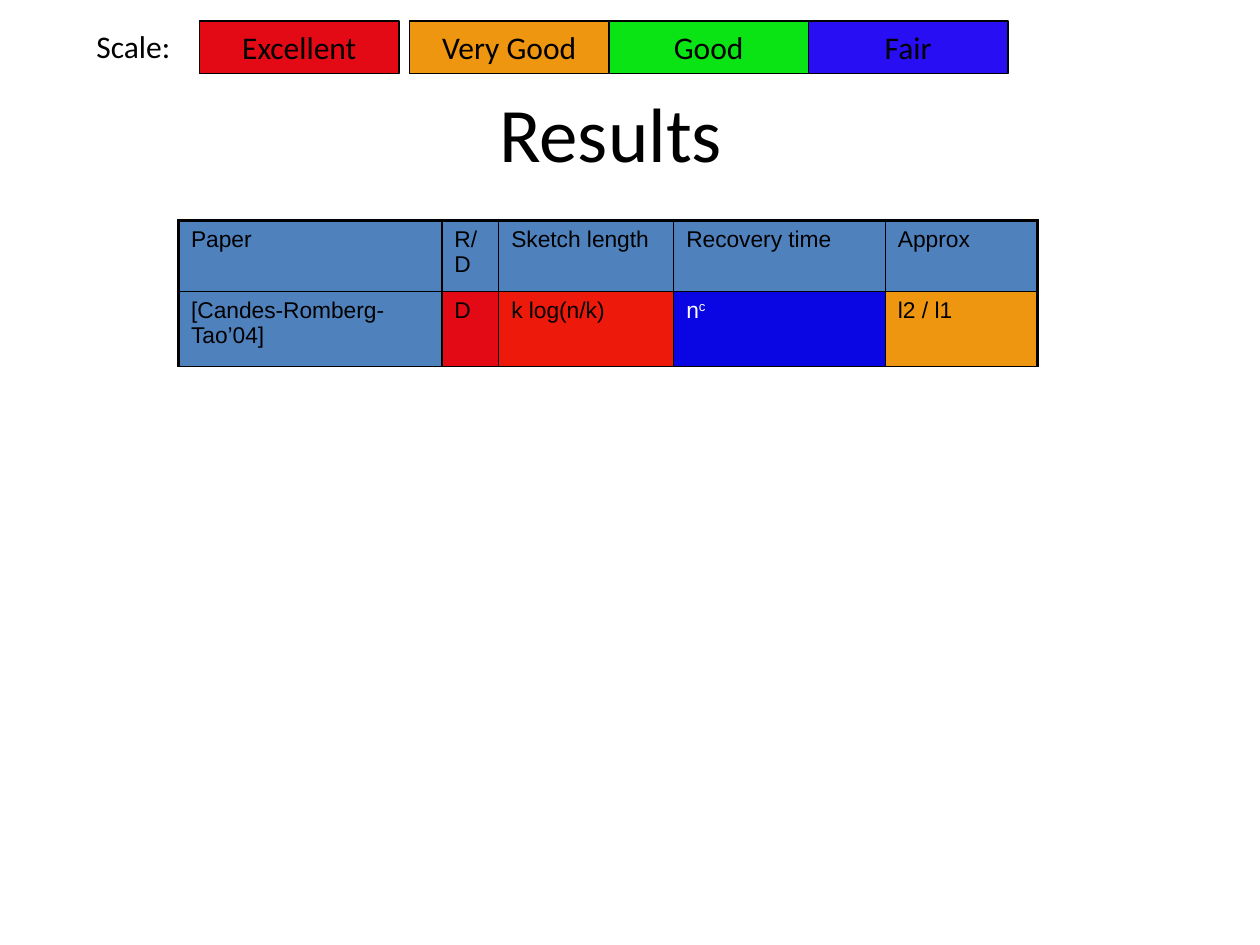
from lxml.etree import SubElement as Sub
from pptx import Presentation as Deck
from pptx.dml.color import RGBColor as Rgb
from pptx.enum.shapes import MSO_SHAPE as Kind
from pptx.enum.text import MSO_ANCHOR as Anchor, MSO_AUTO_SIZE as Auto, PP_ALIGN as Align
from pptx.oxml.ns import qn
from pptx.util import Pt

HUES = {
    "black": "000000", "white": "FFFFFF", "steel": "4F81BD",
    "red": "E30A15", "bright": "ED190B", "orange": "EF9611",
    "green": "0AE314", "blue": "280EF3", "deep": "0A06E3",
}
GRADES = [("Excellent", "red"), ("Very Good", "orange"), ("Good", "green"), ("Fair", "blue")]
COLS = [150.5, 32.5, 100, 121, 87]
HEADS = [(name, "", "steel", "black")
         for name in ("Paper", "R/D", "Sketch length", "Recovery time", "Approx")]
PAPER = [
    ("[Candes-Romberg-Tao’04]", "", "steel", "black"),
    ("D", "", "red", "black"),
    ("k log(n/k)", "", "bright", "black"),
    ("n", "c", "deep", "white"),
    ("l2 / l1", "", "orange", "black"),
]


def hue(name):
    return Rgb.from_string(HUES[name])


def add_run(para, text, size, face="Calibri", tint="black"):
    run = para.add_run()
    run.text = text
    run.font.size = Pt(size)
    run.font.name = face
    run.font.color.rgb = hue(tint)
    return run


def add_title(slide, left, top, wide, high):
    title = slide.shapes.title
    title.left, title.top, title.width, title.height = map(Pt, (left, top, wide, high))
    frame = title.text_frame
    frame.vertical_anchor = Anchor.MIDDLE
    para = frame.paragraphs[0]
    para.alignment = Align.CENTER
    add_run(para, "Results ", 44)


def add_scale(slide, left, top, wide, high):
    label = slide.shapes.add_textbox(Pt(left), Pt(top), Pt(88), Pt(36))
    label.text_frame.word_wrap = False
    label.text_frame.auto_size = Auto.SHAPE_TO_FIT_TEXT
    add_run(label.text_frame.paragraphs[0], "Scale:", 18)

    step, lap = 114, 6
    start = left + wide - len(GRADES) * step
    for i, (name, fill) in enumerate(GRADES):
        shift = 0 if i else lap
        box = slide.shapes.add_shape(Kind.RECTANGLE, Pt(start + i * step - shift),
                                     Pt(top), Pt(step), Pt(high))
        box.shadow.inherit = False
        box.fill.solid()
        box.fill.fore_color.rgb = hue(fill)
        box.line.color.rgb = hue("black")
        box.line.width = Pt(0.75)
        frame = box.text_frame
        frame.word_wrap = False
        frame.vertical_anchor = Anchor.MIDDLE
        para = frame.paragraphs[0]
        para.alignment = Align.CENTER
        add_run(para, name, 18)


def add_edges(cell, thick):
    props = cell._tc.get_or_add_tcPr()
    for side in "LRTB":
        width = 2.25 if side in thick else 1
        line = Sub(props, qn(f"a:ln{side}"), w=str(Pt(width)))
        Sub(Sub(line, qn("a:solidFill")), qn("a:srgbClr"), val=HUES["black"])


def add_row(slide, left, top, high, cells, thick=""):
    frame = slide.shapes.add_table(1, len(COLS), Pt(left), Pt(top), Pt(sum(COLS)), Pt(high))
    table = frame.table
    table.first_row = table.horz_banding = False
    table.rows[0].height = Pt(high)
    for i, (text, power, fill, tint) in enumerate(cells):
        table.columns[i].width = Pt(COLS[i])
        cell = table.cell(0, i)
        ends = {0: "L", len(COLS) - 1: "R"}
        add_edges(cell, thick + ends.get(i, ""))
        cell.fill.solid()
        cell.fill.fore_color.rgb = hue(fill)
        para = cell.text_frame.paragraphs[0]
        add_run(para, text, 13, "Arial", tint)
        if power:
            run = add_run(para, power, 13, "Arial", tint)
            run._r.get_or_add_rPr().set("baseline", "30000")


def add_results(slide, left, top, head, body):
    add_row(slide, left, top + head, body, PAPER)
    add_row(slide, left, top, head, HEADS, "T")


def main():
    deck = Deck()
    deck.slide_width, deck.slide_height = Pt(720), Pt(540)
    slide = deck.slides.add_slide(deck.slide_layouts[5])
    add_title(slide, 48, 30, 612, 90)
    add_scale(slide, 48, 12, 528, 30)
    add_results(slide, 102, 126, 40.5, 43)
    deck.save("out.pptx")


if __name__ == "__main__":
    main()
